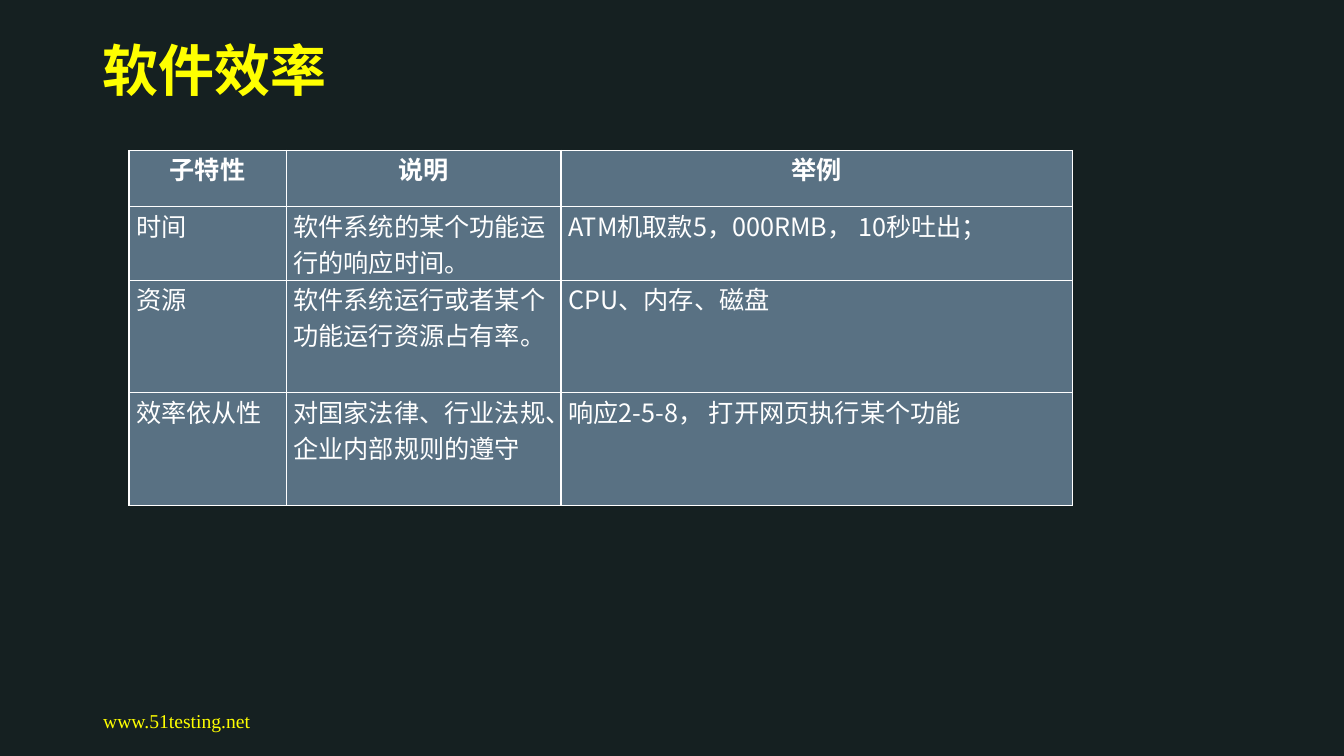
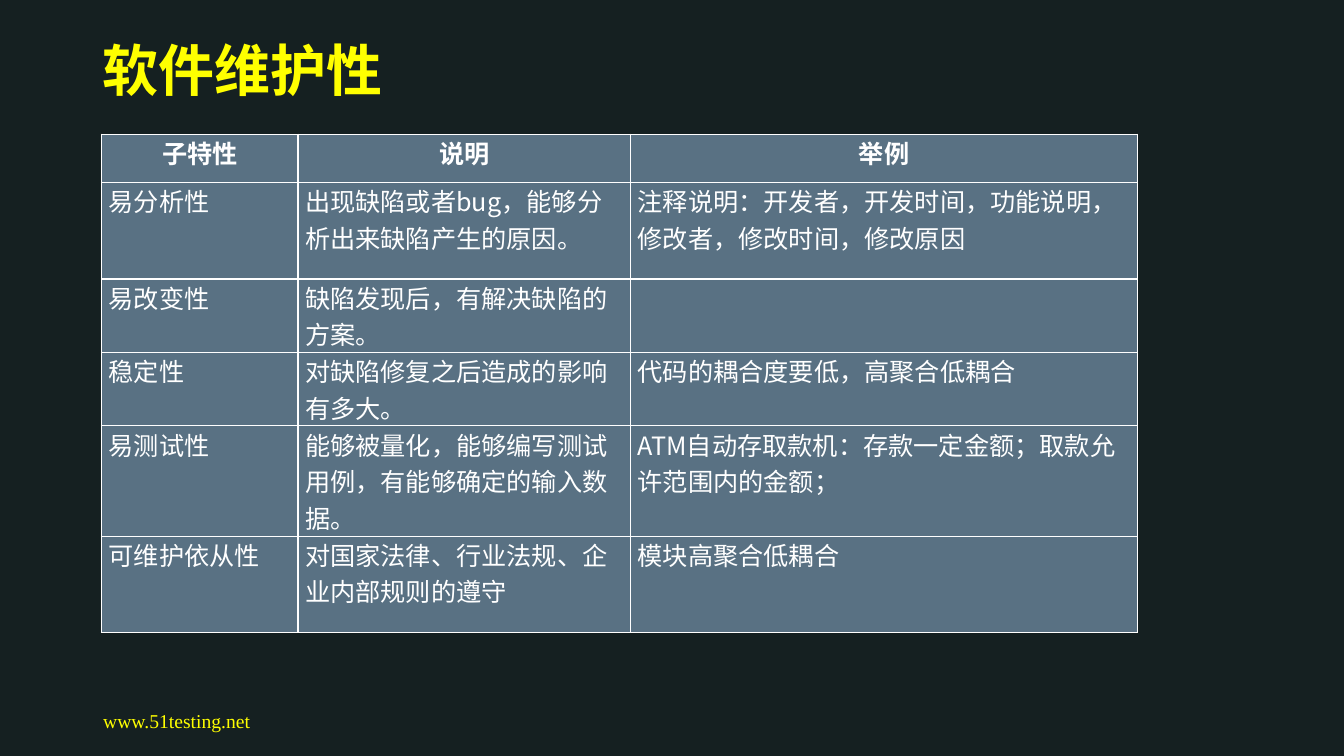
"""Build two slides on software quality sub-characteristics."""
from lxml import etree
from pptx import Presentation
from pptx.dml.color import RGBColor
from pptx.enum.text import MSO_ANCHOR, MSO_AUTO_SIZE, PP_ALIGN
from pptx.oxml.ns import qn
from pptx.util import Cm, Pt

TOP, MIDDLE = MSO_ANCHOR.TOP, MSO_ANCHOR.MIDDLE
LEFT, CENTER = PP_ALIGN.LEFT, PP_ALIGN.CENTER
NO_FIT = MSO_AUTO_SIZE.NONE
TITLE_ONLY = 5

COLORS = {"background": "152021", "accent": "FFFF00", "text": "FFFFFF",
          "cell": "9DC3E6", "border": "FFFFFF"}
CJK_FONT = "Noto Sans CJK SC"
SERIF_FONT = "Times New Roman"

TITLE_FONT = {"name": SERIF_FONT, "size": Pt(40), "bold": True}
FOOTER_FONT = {"name": SERIF_FONT, "size": Pt(14)}
HEADER_FONT = {"name": CJK_FONT, "size": Pt(18), "bold": True}
BODY_FONT = {**HEADER_FONT, "bold": False}

TITLE_BOX = {"left": Cm(2.34), "top": Cm(1.02), "width": Cm(23.6), "height": Cm(2.11)}
TITLE_FRAME = {"word_wrap": True, "auto_size": NO_FIT, "vertical_anchor": TOP}
TITLE_PARAGRAPH = {"alignment": LEFT, "line_spacing": 0.86}
FOOTER_BOX = (Cm(2.35), Cm(17.65), Cm(7.62), Cm(1.02))
FOOTER_FRAME = {"word_wrap": True, "vertical_anchor": MIDDLE}
CELL_FORMAT = {"margin_left": Cm(0.18), "margin_right": Cm(0.18),
               "margin_top": 0, "margin_bottom": 0, "vertical_anchor": TOP}

HEADERS = ("子特性", "说明", "举例")
COMPLIANCE = "对国家法律、行业法规、企业内部规则的遵守"
TWO_LINES, THREE_LINES = 1.85, 2.78
TOPICS = (
    {
        "title": "软件效率",
        "origin": (3.25, 3.79),
        "columns": (3.96, 6.93, 12.88),
        "row_heights": (1.42, TWO_LINES, 2.84, 2.84),
        "rows": (
            HEADERS,
            ("时间", "软件系统的某个功能运行的响应时间。", "ATM机取款5，000RMB， 10秒吐出；"),
            ("资源", "软件系统运行或者某个功能运行资源占有率。", "CPU、内存、磁盘"),
            ("效率依从性", COMPLIANCE, "响应2-5-8， 打开网页执行某个功能"),
        ),
    },
    {
        "title": "软件维护性",
        "origin": (2.56, 3.38),
        "columns": (4.95, 8.38, 12.78),
        "row_heights": (1.22, 2.43, TWO_LINES, TWO_LINES, THREE_LINES, 2.43),
        "rows": (
            HEADERS,
            ("易分析性", "出现缺陷或者bug，能够分析出来缺陷产生的原因。",
             "注释说明：开发者，开发时间，功能说明，修改者，修改时间，修改原因"),
            ("易改变性", "缺陷发现后，有解决缺陷的方案。", ""),
            ("稳定性", "对缺陷修复之后造成的影响有多大。", "代码的耦合度要低，高聚合低耦合"),
            ("易测试性", "能够被量化，能够编写测试用例，有能够确定的输入数据。",
             "ATM自动存取款机：存款一定金额；取款允许范围内的金额；"),
            ("可维护依从性", COMPLIANCE, "模块高聚合低耦合"),
        ),
    },
)


def apply_format(target, values):
    """Set every attribute named in values on target."""
    for name, value in values.items():
        setattr(target, name, value)


def write_text(paragraph, text, font, color):
    """Add one formatted run with a matching East Asian font."""
    run = paragraph.add_run()
    run.text = text
    apply_format(run.font, font)
    run.font.color.rgb = RGBColor.from_string(COLORS[color])
    east_asian = etree.SubElement(run._r.get_or_add_rPr(), qn("a:ea"))
    east_asian.set("typeface", CJK_FONT)


def add_title(slide, text):
    """Place and format the title placeholder."""
    title = slide.shapes.title
    apply_format(title, TITLE_BOX)
    apply_format(title.text_frame, TITLE_FRAME)
    heading = title.text_frame.paragraphs[0]
    apply_format(heading, TITLE_PARAGRAPH)
    write_text(heading, text, TITLE_FONT, "accent")


def add_footer(slide):
    """Add the web address at the bottom left."""
    frame = slide.shapes.add_textbox(*FOOTER_BOX).text_frame
    apply_format(frame, FOOTER_FRAME)
    write_text(frame.paragraphs[0], "www.51testing.net", FOOTER_FONT, "accent")


def paint_cell(cell):
    """Give a cell its half-transparent fill and four borders."""
    cell.fill.solid()
    cell.fill.fore_color.rgb = RGBColor.from_string(COLORS["cell"])
    properties = cell._tc.get_or_add_tcPr()
    fill_color = properties.find(".//" + qn("a:srgbClr"))
    etree.SubElement(fill_color, qn("a:alpha")).set("val", "50000")
    for position, side in enumerate(("lnL", "lnR", "lnT", "lnB")):
        border = properties.makeelement(qn("a:" + side), {"w": str(Pt(1))})
        stroke = etree.SubElement(border, qn("a:solidFill"))
        etree.SubElement(stroke, qn("a:srgbClr")).set("val", COLORS["border"])
        properties.insert(position, border)


def fill_cell(cell, text, is_header):
    """Format a cell and write its text."""
    apply_format(cell, CELL_FORMAT)
    paint_cell(cell)
    paragraph = cell.text_frame.paragraphs[0]
    paragraph.alignment = CENTER if is_header else LEFT
    if text:
        write_text(paragraph, text, HEADER_FONT if is_header else BODY_FONT, "text")


def add_feature_table(slide, topic):
    """Add the table of sub-characteristics for one topic."""
    rows, columns, heights = topic["rows"], topic["columns"], topic["row_heights"]
    left, top = topic["origin"]
    table = slide.shapes.add_table(len(rows), len(columns), Cm(left), Cm(top),
                                   Cm(sum(columns)), Cm(sum(heights))).table
    apply_format(table, {"first_row": False, "horz_banding": False})
    for column, width in zip(table.columns, columns):
        column.width = Cm(width)
    for row, height in zip(table.rows, heights):
        row.height = Cm(height)
    for row_index, texts in enumerate(rows):
        for column_index, text in enumerate(texts):
            fill_cell(table.cell(row_index, column_index), text, row_index == 0)


def main():
    """Build and save the presentation."""
    presentation = Presentation()
    apply_format(presentation, {"slide_width": Cm(33.87), "slide_height": Cm(19.05)})
    backdrop = presentation.slide_master.background.fill
    backdrop.solid()
    backdrop.fore_color.rgb = RGBColor.from_string(COLORS["background"])
    for topic in TOPICS:
        slide = presentation.slides.add_slide(presentation.slide_layouts[TITLE_ONLY])
        add_footer(slide)
        add_title(slide, topic["title"])
        add_feature_table(slide, topic)
    presentation.save("out.pptx")


if __name__ == "__main__":
    main()
